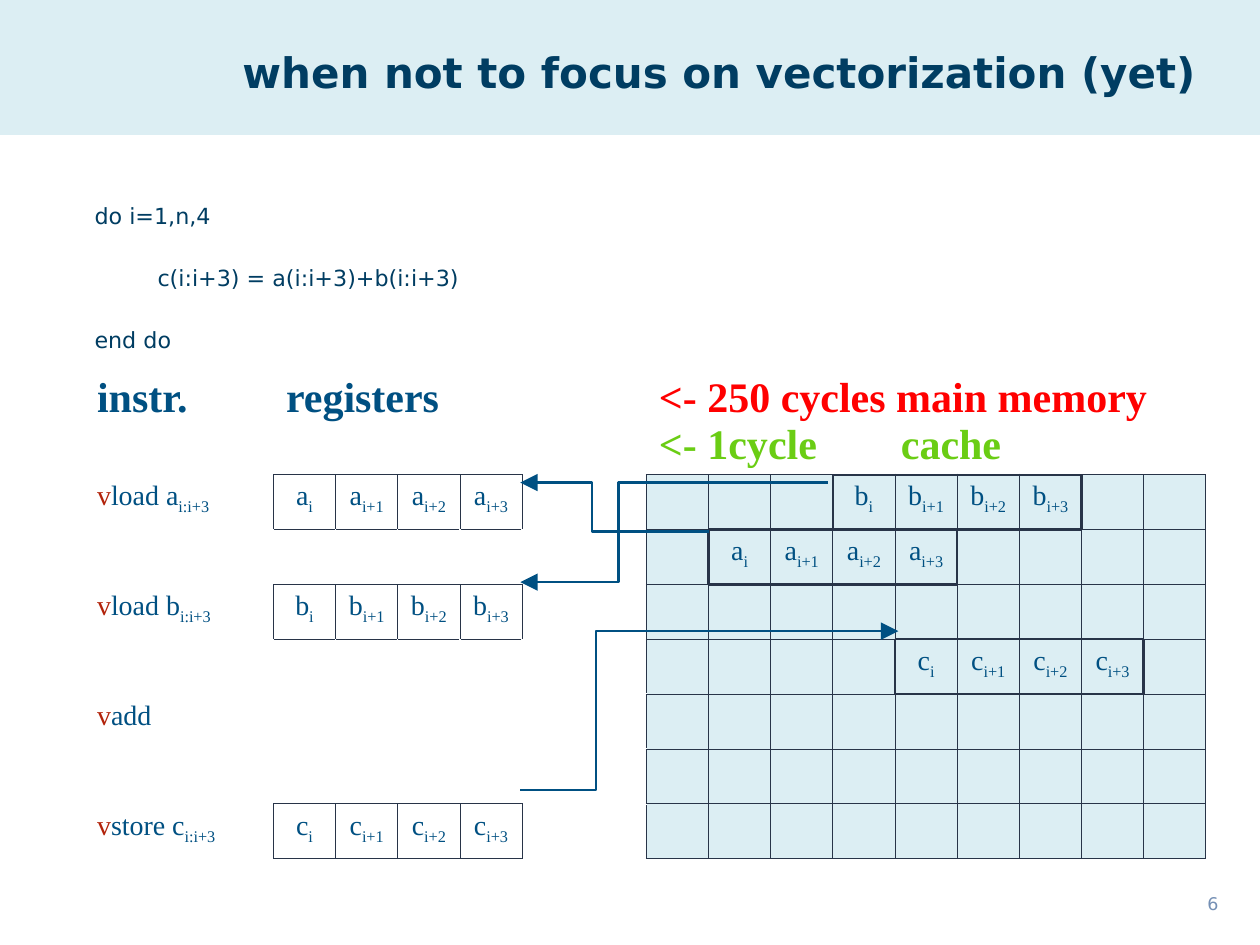
from pptx import Presentation
from pptx.dml.color import RGBColor
from pptx.enum.shapes import MSO_CONNECTOR, MSO_SHAPE
from pptx.enum.text import MSO_ANCHOR, MSO_AUTO_SIZE, PP_ALIGN
from pptx.oxml.ns import qn
from pptx.util import Inches, Pt
from lxml.etree import SubElement

NAVY, BLUE, RED, GREEN = "003D62", "005082", "FF0000", "6ACD14"
PALE, WHITE, GRID, BRICK = "DCEEF3", "FFFFFF", "283448", "B2230A"
SANS, SERIF = "DejaVu Sans", "Times New Roman"


def write(paragraph, text, size=16, color=BLUE, font=SERIF, bold=False,
          align=PP_ALIGN.LEFT, tab=None):
    """Add text to a paragraph; what follows an underscore is subscript."""
    paragraph.alignment = align
    if tab:
        tabs = SubElement(paragraph._p.get_or_add_pPr(), qn("a:tabLst"))
        SubElement(tabs, qn("a:tab"), pos=str(Inches(tab)), algn="l")
    for level, part in enumerate(text.split("_")):
        run = paragraph.add_run()
        run.text = part
        run.font.size = Pt(size)
        run.font.name = font
        run.font.bold = bold
        run.font.color.rgb = RGBColor.from_string(color)
        if level:
            run._r.get_or_add_rPr().set("baseline", "-25000")


def place(shape, left, top, width, height):
    """Position a text shape, with no margins and text centred vertically."""
    shape.left, shape.top = Inches(left), Inches(top)
    shape.width, shape.height = Inches(width), Inches(height)
    frame = shape.text_frame
    frame.margin_left = frame.margin_right = frame.margin_top = frame.margin_bottom = 0
    frame.word_wrap = True
    frame.auto_size = MSO_AUTO_SIZE.NONE
    frame.vertical_anchor = MSO_ANCHOR.MIDDLE
    return frame


presentation = Presentation()
presentation.slide_width, presentation.slide_height = Inches(10), Inches(7.5)
slide = presentation.slides.add_slide(presentation.slide_layouts[1])
title, body = slide.placeholders

# Header band, behind the title
band = slide.shapes.add_shape(MSO_SHAPE.RECTANGLE, 0, 0, Inches(10), Inches(1.07))
band.shadow.inherit = False
band.fill.solid()
band.fill.fore_color.rgb = RGBColor.from_string(PALE)
band.line.color.rgb = RGBColor.from_string(PALE)
band.line.width = Pt(0.75)
band.element.getparent().insert(2, band.element)

frame = place(title, 1.54, 0.22, 7.95, 0.69)
write(frame.paragraphs[0], "when not to focus on vectorization (yet)", size=24,
      color=NAVY, font=SANS, bold=True, align=PP_ALIGN.RIGHT)

number = slide.shapes.add_textbox(0, 0, 0, 0)
frame = place(number, 8.7, 6.96, 0.97, 0.42)
write(frame.paragraphs[0], "6", size=10, color="7590B5", font=SANS, align=PP_ALIGN.RIGHT)

# Code listing
frame = place(body, 0.75, 1.23, 9.18, 1.73)
code_lines = ["do i=1,n,4", "\tc(i:i+3) = a(i:i+3)+b(i:i+3)", "end do"]
for index, line in enumerate(code_lines):
    paragraph = frame.paragraphs[0] if index == 0 else frame.add_paragraph()
    properties = paragraph._p.get_or_add_pPr()
    properties.set("marL", "0")
    properties.set("indent", "0")
    SubElement(properties, qn("a:buNone"))
    write(paragraph, line, size=12.7, color=NAVY, font=SANS, tab=1)
    paragraph.line_spacing = 2.0
    paragraph.space_before = Pt(5 if index else 0)

# Instructions, registers and memory
ROWS, COLUMNS, MEMORY_COLUMN = 8, 16, 7
instructions = {1: "load a_i:i+3", 3: "load b_i:i+3", 5: "add", 7: "store c_i:i+3"}
registers = {1: ("a", 1), 3: ("b", 1), 7: ("c", 1)}
memory_blocks = {1: ("b", 10), 2: ("a", 8), 4: ("c", 11)}

table_shape = slide.shapes.add_table(ROWS, COLUMNS, Inches(0.67), Inches(2.93),
                                     Inches(8.9), Inches(3.75))
table = table_shape.table
table.first_row = table.horz_banding = False
style = table_shape.element.find(".//" + qn("a:tableStyleId"))
style.text = "{2D5ABB26-0587-4C30-8999-92F81FD0307C}"
for index, column in enumerate(table.columns):
    column.width = Inches(7.4 / 15 if index else 1.5)
for index, row in enumerate(table.rows):
    row.height = Inches(3.05 / 7 if index else 0.67)

boxed = {(row, column) for row in range(1, ROWS) for column in range(MEMORY_COLUMN, COLUMNS)}
elements, block_of = {}, {}
for group in (registers, memory_blocks):
    for row, (name, first) in group.items():
        for offset, suffix in enumerate(["i", "i+1", "i+2", "i+3"]):
            position = row, first + offset
            elements[position] = f"{name}_{suffix}"
            boxed.add(position)
            if group is memory_blocks:
                block_of[position] = name

sides = {"a:lnL": (0, -1), "a:lnR": (0, 1), "a:lnT": (-1, 0), "a:lnB": (1, 0)}
for row in range(ROWS):
    for column in range(COLUMNS):
        position = row, column
        cell = table.cell(row, column)
        paragraph = cell.text_frame.paragraphs[0]
        if position in elements:
            cell.margin_left = cell.margin_right = 0
            write(paragraph, elements[position], align=PP_ALIGN.CENTER)
        elif column == 0 and row in instructions:
            write(paragraph, "v", color=BRICK)
            write(paragraph, instructions[row])
        elif row:
            paragraph.font.size = Pt(16)
        if row:
            for tag, (down, right) in sides.items():
                neighbour = row + down, column + right
                color, width = WHITE, 1
                if block_of.get(position) != block_of.get(neighbour):
                    color, width = GRID, 1.5
                elif position in boxed or neighbour in boxed:
                    color, width = GRID, 0.5
                border = SubElement(cell._tc.get_or_add_tcPr(), qn(tag), w=str(Pt(width)))
                fill = SubElement(border, qn("a:solidFill"))
                SubElement(fill, qn("a:srgbClr"), val=color)
        cell.fill.solid()
        in_memory = row and column >= MEMORY_COLUMN
        cell.fill.fore_color.rgb = RGBColor.from_string(PALE if in_memory else WHITE)

table.cell(0, 1).merge(table.cell(0, MEMORY_COLUMN - 1))
table.cell(0, MEMORY_COLUMN).merge(table.cell(0, COLUMNS - 1))
for column, heading in [(0, "instr."), (1, "registers")]:
    write(table.cell(0, column).text_frame.paragraphs[0], heading, size=24, bold=True)
frame = table.cell(0, MEMORY_COLUMN).text_frame
write(frame.paragraphs[0], "<- 250 cycles main memory", size=24, color=RED, bold=True)
write(frame.add_paragraph(), "<- 1cycle\tcache", size=24, color=GREEN, bold=True, tab=1.92)

# Data transfers between memory and registers: start, end, position of the bend
transfers = [
    (5.63, 4.22, 4.13, 3.83, 0.62),
    (6.57, 3.83, 4.13, 4.62, 0.68),
    (4.13, 6.27, 7.13, 5.01, 0.2),
]
for *ends, bend in transfers:
    arrow = slide.shapes.add_connector(MSO_CONNECTOR.ELBOW, *map(Inches, ends))
    arrow.line.color.rgb = RGBColor.from_string(BLUE)
    arrow.line.width = Pt(1.5)
    properties = arrow.element.spPr
    guides = properties.find(qn("a:prstGeom")).get_or_add_avLst()
    SubElement(guides, qn("a:gd"), name="adj1", fmla=f"val {round(bend * 100000)}")
    SubElement(properties.find(qn("a:ln")), qn("a:tailEnd"), type="triangle", w="lg", len="lg")
    SubElement(properties, qn("a:effectLst"))

presentation.save("out.pptx")
